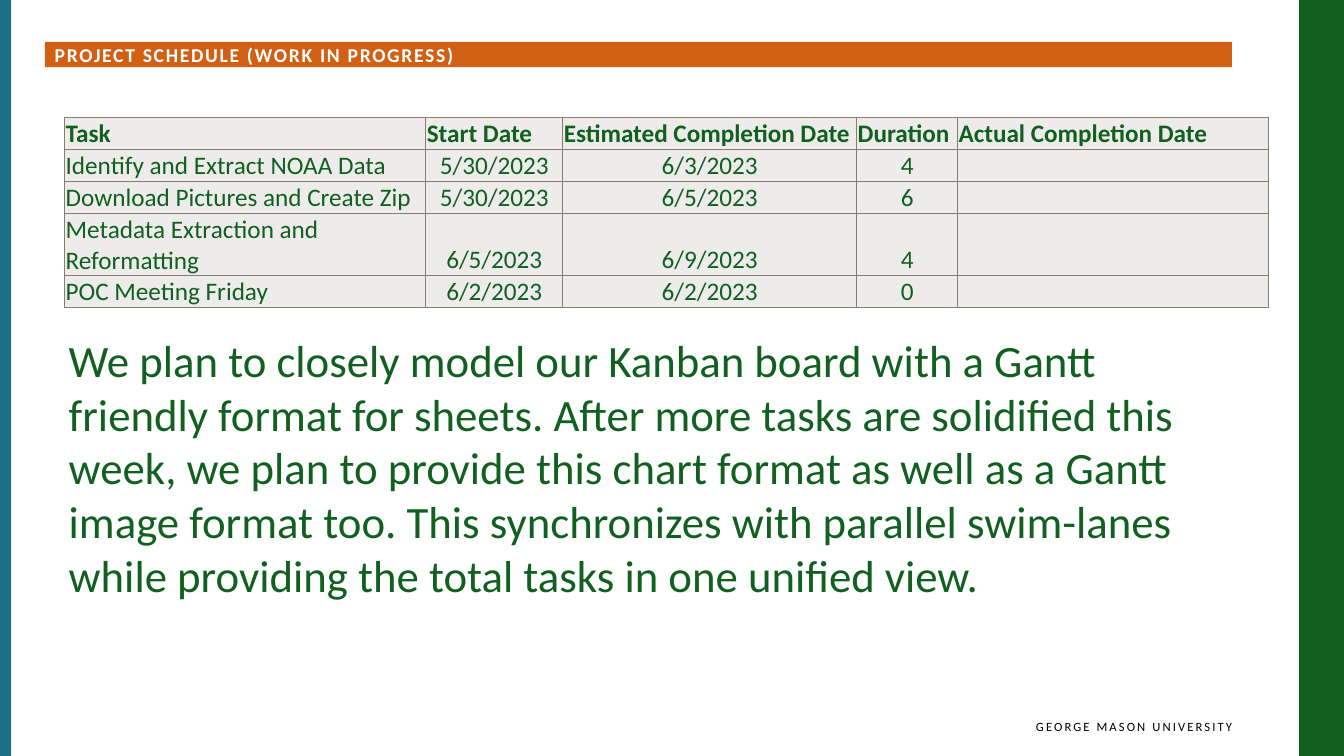
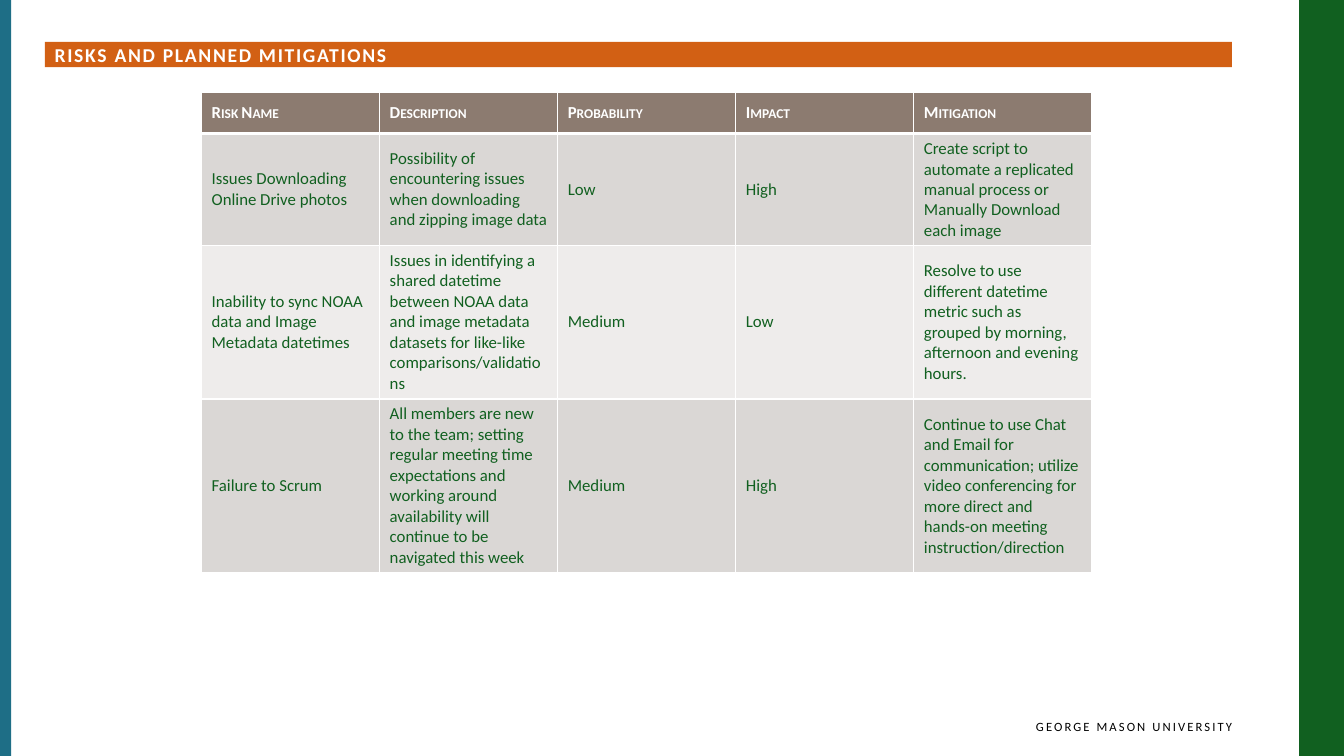
from pptx import Presentation
from pptx.dml.color import RGBColor
from pptx.enum.shapes import MSO_SHAPE
from pptx.enum.text import MSO_ANCHOR, PP_ALIGN
from pptx.oxml import parse_xml
from pptx.oxml.ns import nsdecls, qn
from pptx.util import Inches, Pt

COLORS = {
    "green": "116020",
    "teal": "1E6E86",
    "orange": "D26014",
    "taupe": "8C7B70",
    "band": "DAD7D5",
    "pale": "EEECEB",
    "white": "FFFFFF",
    "black": "000000",
}
COLUMNS, ROWS = 160, 90
UNITS_PER_INCH = 12


class Deck:
    font_name = "Calibri"
    footer_text = "GEORGE MASON UNIVERSITY"

    def __init__(self):
        self.presentation = Presentation()
        self.presentation.slide_width = self.length(COLUMNS)
        self.presentation.slide_height = self.length(ROWS)
        self.slide = None

    @staticmethod
    def length(units):
        return Inches(units / UNITS_PER_INCH)

    def place(self, *box):
        return [self.length(units) for units in box]

    @staticmethod
    def color(name):
        return RGBColor.from_string(COLORS[name])

    def set_text(self, paragraph, text, size, color, bold=False,
                 align=PP_ALIGN.LEFT, **attributes):
        paragraph.text = text
        paragraph.alignment = align
        font = paragraph.font
        font.name, font.size, font.bold = self.font_name, Pt(size), bold
        font.color.rgb = self.color(color)
        properties = paragraph._p.pPr.find(qn("a:defRPr"))
        for name, value in attributes.items():
            properties.set(name, value)

    @staticmethod
    def set_margins(target, margins):
        (target.margin_left, target.margin_top,
         target.margin_right, target.margin_bottom) = map(Inches, margins)

    def bar(self, box, color):
        shape = self.slide.shapes.add_shape(MSO_SHAPE.RECTANGLE, *self.place(*box))
        shape.shadow.inherit = False
        shape.fill.solid()
        shape.fill.fore_color.rgb = self.color(color)
        shape.line.fill.background()
        return shape

    def text(self, box, text, size, color, margins=(0.1, 0.05, 0.1, 0.05), **style):
        frame = self.slide.shapes.add_textbox(*self.place(*box)).text_frame
        frame.word_wrap = True
        self.set_margins(frame, margins)
        self.set_text(frame.paragraphs[0], text, size, color, **style)

    def title(self, text):
        frame = self.bar((5.33, 5, 141.33, 3), "orange").text_frame
        frame.word_wrap = True
        frame.vertical_anchor = MSO_ANCHOR.MIDDLE
        self.set_margins(frame, (0.1, 0, 0.1, 0))
        self.set_text(frame.paragraphs[0], text, 14, "white", bold=True, spc="120")

    def new_slide(self, title):
        self.slide = self.presentation.slides.add_slide(
            self.presentation.slide_layouts[6])
        self.bar((154.67, 0, 5.33, ROWS), "green")
        self.bar((0, 0, 1.33, ROWS), "teal")
        self.text((81.33, 85, 65.33, 4), self.footer_text, 9, "black",
                  margins=(0.1, 0.05, 0, 0.05), align=PP_ALIGN.RIGHT, spc="150")
        self.title(title)

    @staticmethod
    def borders(cell, color, top=1, bottom=1):
        properties = cell._tc.get_or_add_tcPr()
        for side, width in (("L", 1), ("R", 1), ("T", top), ("B", bottom)):
            properties.append(parse_xml(
                f'<a:ln{side} {nsdecls("a")} w="{Pt(width)}"><a:solidFill>'
                f'<a:srgbClr val="{COLORS[color]}"/></a:solidFill></a:ln{side}>'))

    def table(self, left, top, widths, heights, rows, size, fills, border,
              header, anchor, margins, header_rule=1, value_align=PP_ALIGN.LEFT):
        table = self.slide.shapes.add_table(
            len(rows), len(widths),
            *self.place(left, top, sum(widths), sum(heights))).table
        table.first_row = table.horz_banding = False
        for column, width in zip(table.columns, widths):
            column.width = self.length(width)
        for row, height in zip(table.rows, heights):
            row.height = self.length(height)
        for i, texts in enumerate(rows):
            for j, text in enumerate(texts):
                cell = table.cell(i, j)
                self.borders(cell, border,
                             top=header_rule if i == 1 else 1,
                             bottom=header_rule if i == 0 else 1)
                cell.fill.solid()
                cell.fill.fore_color.rgb = self.color(fills[i])
                cell.vertical_anchor = anchor
                self.set_margins(cell, margins)
                style = {"color": "green"} if i else header
                align = value_align if i and j else PP_ALIGN.LEFT
                self.set_text(cell.text_frame.paragraphs[0], text, size,
                              align=align, **style)


SCHEDULE = [
    ("Task", "Start Date", "Estimated Completion Date", "Duration",
     "Actual Completion Date"),
    ("Identify and Extract NOAA Data", "5/30/2023", "6/3/2023", "4", ""),
    ("Download Pictures and Create Zip", "5/30/2023", "6/5/2023", "6", ""),
    ("Metadata Extraction and Reformatting", "6/5/2023", "6/9/2023", "4", ""),
    ("POC Meeting Friday", "6/2/2023", "6/2/2023", "0", ""),
]
SCHEDULE_NOTE = (
    "We plan to closely model our Kanban board with a Gantt friendly format for "
    "sheets. After more tasks are solidified this week, we plan to provide this "
    "chart format as well as a Gantt image format too. This synchronizes with "
    "parallel swim-lanes while providing the total tasks in one unified view.")
RISKS = [
    ("Risk Name", "Description", "Probability", "Impact", "Mitigation"),
    ("Issues Downloading Online Drive photos",
     "Possibility of encountering issues when downloading and zipping image data",
     "Low", "High",
     "Create script to automate a replicated manual process or Manually Download "
     "each image"),
    ("Inability to sync NOAA data and Image Metadata datetimes",
     "Issues in identifying a shared datetime between NOAA data and image metadata "
     "datasets for like-like comparisons/validations",
     "Medium", "Low",
     "Resolve to use different datetime metric such as grouped by morning, "
     "afternoon and evening hours."),
    ("Failure to Scrum",
     "All members are new to the team; setting regular meeting time expectations "
     "and working around availability will continue to be navigated this week",
     "Medium", "High",
     "Continue to use Chat and Email for communication; utilize video conferencing "
     "for more direct and hands-on meeting instruction/direction"),
]


def main():
    deck = Deck()

    deck.new_slide("PROJECT SCHEDULE (WORK IN PROGRESS)")
    deck.table(7.7, 14, [43, 16.3, 35, 12, 37], [3.8, 3.8, 3.8, 7.4, 3.8],
               SCHEDULE, size=18, fills=["pale"] * 5, border="taupe",
               header={"color": "green", "bold": True},
               anchor=MSO_ANCHOR.BOTTOM, margins=(0.01, 0.01, 0.01, 0),
               value_align=PP_ALIGN.CENTER)
    deck.text((7, 39, 141.33, 36), SCHEDULE_NOTE, 32, "green")

    deck.new_slide("RISKS AND PLANNED MITIGATIONS")
    deck.table(24, 11, [21.2] * 5, [4.9, 13.3, 18.3, 20.7],
               RISKS, size=12, fills=["taupe", "band", "pale", "band"],
               border="white",
               header={"color": "white", "bold": True, "cap": "small"},
               anchor=MSO_ANCHOR.MIDDLE, margins=(0.1, 0.05, 0.1, 0.05),
               header_rule=3)

    deck.presentation.save("out.pptx")


if __name__ == "__main__":
    main()
